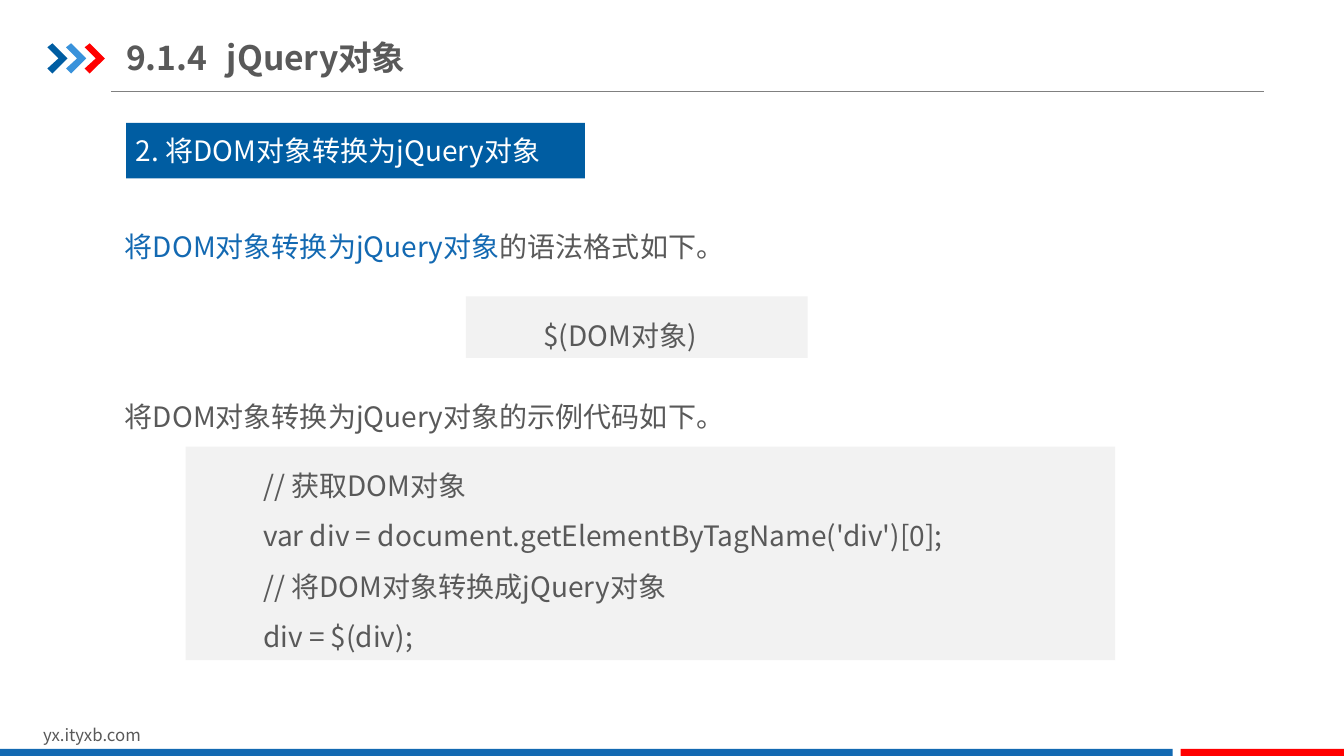
from dataclasses import dataclass

from lxml.etree import SubElement
from pptx import Presentation
from pptx.dml.color import RGBColor
from pptx.enum.shapes import MSO_CONNECTOR, MSO_SHAPE
from pptx.enum.text import MSO_ANCHOR, MSO_AUTO_SIZE, PP_ALIGN
from pptx.oxml.ns import qn
from pptx.util import Inches, Pt


@dataclass(frozen=True)
class Theme:
    """Colours, font and type sizes of the slide."""
    navy: str = "005DA2"
    blue: str = "1369B2"
    sky: str = "3992DB"
    red: str = "FF0000"
    rule: str = "808080"
    panel: str = "F2F2F2"
    ink: str = "595959"
    white: str = "FFFFFF"
    font: str = "Noto Sans CJK SC"
    head: int = 24
    text: int = 20
    foot: int = 12


THEME = Theme()


def paint(shape, color):
    """Give a shape a flat fill with no line or shadow."""
    shape.shadow.inherit = False
    shape.fill.solid()
    shape.fill.fore_color.rgb = RGBColor.from_string(color)
    shape.line.fill.background()


def style(run, size, color, bold=False):
    """Set the font of a run for Latin and Chinese text."""
    font = run.font
    font.name = THEME.font
    font.size = Pt(size)
    font.bold = bold
    font.color.rgb = RGBColor.from_string(color)
    SubElement(run._r.get_or_add_rPr(), qn("a:ea"), typeface=THEME.font)


def write(frame, lines, size, color, indent=0, align=PP_ALIGN.LEFT, space=None):
    """Fill a text frame with one paragraph per line."""
    frame.text = "\n".join(lines)
    for para in frame.paragraphs:
        para.alignment = align
        para.line_spacing = space
        props = para._p.get_or_add_pPr()
        props.set("marL", str(Inches(indent)))
        props.set("indent", "0")
        for run in para.runs:
            style(run, size, color)


def add_block(slide, box, color):
    """Add a plain filled rectangle."""
    block = slide.shapes.add_shape(MSO_SHAPE.RECTANGLE, *map(Inches, box))
    paint(block, color)
    return block


def add_arrow(slide, left, color):
    """Add one chevron of the heading mark."""
    points = [(0, 0.04), (0.05, 0), (0.2, 0.15), (0.05, 0.3), (0, 0.25), (0.11, 0.15)]
    path = [(Inches(left + x), Inches(0.43 + y)) for x, y in points]
    pen = slide.shapes.build_freeform(*path[0])
    pen.add_line_segments(path[1:], close=True)
    paint(pen.convert_to_shape(), color)


def add_rule(slide):
    """Add the thin line under the title."""
    ends = map(Inches, (1.1, 0.91, 12.54, 0.91))
    rule = slide.shapes.add_connector(MSO_CONNECTOR.STRAIGHT, *ends)
    rule.line.color.rgb = RGBColor.from_string(THEME.rule)
    rule.line.width = Pt(0.75)
    SubElement(rule._element.spPr, qn("a:effectLst"))


def add_title(slide, text):
    """Place and format the title."""
    title = slide.shapes.title
    title.left, title.top, title.width, title.height = map(Inches, (1.25, 0.29, 4.26, 0.55))
    frame = title.text_frame
    frame.auto_size = MSO_AUTO_SIZE.NONE
    frame.vertical_anchor = MSO_ANCHOR.MIDDLE
    frame.margin_left = frame.margin_right = 0
    frame.margin_top = frame.margin_bottom = Inches(0.07)
    write(frame, [text], THEME.head, THEME.ink)
    for run in frame.paragraphs[0].runs:
        run.font.bold = True


def add_label(slide, box, text):
    """Add the blue section label."""
    frame = add_block(slide, box, THEME.navy).text_frame
    frame.vertical_anchor = MSO_ANCHOR.MIDDLE
    write(frame, [text], THEME.text, THEME.white)


def add_text(slide, box, text, wrap=True):
    """Add an indented sentence and return its paragraph."""
    frame = slide.shapes.add_textbox(*map(Inches, box)).text_frame
    frame.word_wrap = wrap
    frame.auto_size = MSO_AUTO_SIZE.SHAPE_TO_FIT_TEXT
    write(frame, [text], THEME.text, THEME.ink, 0.3, PP_ALIGN.JUSTIFY, 1.5)
    return frame.paragraphs[0]


def add_code(slide, box, lines):
    """Add a grey panel of code."""
    frame = add_block(slide, box, THEME.panel).text_frame
    frame.word_wrap = True
    frame.auto_size = MSO_AUTO_SIZE.SHAPE_TO_FIT_TEXT
    frame.vertical_anchor = MSO_ANCHOR.TOP
    write(frame, lines, THEME.text, THEME.ink, 0.67, space=1.5)
    for para in frame.paragraphs:
        para.level = 1


def add_foot(slide):
    """Add the web address and the bottom bars."""
    frame = slide.shapes.add_textbox(*map(Inches, (0.33, 7.14, 3.18, 0.3))).text_frame
    frame.word_wrap = True
    frame.auto_size = MSO_AUTO_SIZE.SHAPE_TO_FIT_TEXT
    write(frame, ["yx.ityxb.com"], THEME.foot, THEME.ink)
    add_block(slide, (0, 7.43, 11.63, 0.09), THEME.blue)
    add_block(slide, (11.71, 7.43, 1.63, 0.09), THEME.red)


def main():
    """Build and save the slide."""
    deck = Presentation()
    deck.slide_width, deck.slide_height = Inches(13.33), Inches(7.5)
    slide = deck.slides.add_slide(deck.slide_layouts[5])
    add_rule(slide)
    for step, color in enumerate((THEME.navy, THEME.sky, THEME.red)):
        add_arrow(slide, 0.47 + 0.185 * step, color)
    add_foot(slide)
    add_title(slide, "9.1.4\tjQuery对象")
    add_label(slide, (1.25, 1.22, 4.55, 0.55), "2. 将DOM对象转换为jQuery对象")
    para = add_text(slide, (0.84, 2.06, 8.82, 0.61), "将DOM对象转换为jQuery对象")
    para.runs[0].font.color.rgb = RGBColor.from_string(THEME.blue)
    rest = para.add_run()
    rest.text = "的语法格式如下。"
    style(rest, THEME.text, THEME.ink)
    add_code(slide, (4.62, 2.94, 3.39, 0.61), ["$(DOM对象)"])
    add_text(slide, (0.84, 3.75, 6.61, 0.61), "将DOM对象转换为jQuery对象的示例代码如下。", wrap=False)
    add_code(slide, (1.84, 4.43, 9.22, 2.12), [
        "// 获取DOM对象",
        "var div = document.getElementByTagName('div')[0];",
        "// 将DOM对象转换成jQuery对象",
        "div = $(div);",
    ])
    deck.save("out.pptx")


if __name__ == "__main__":
    main()
